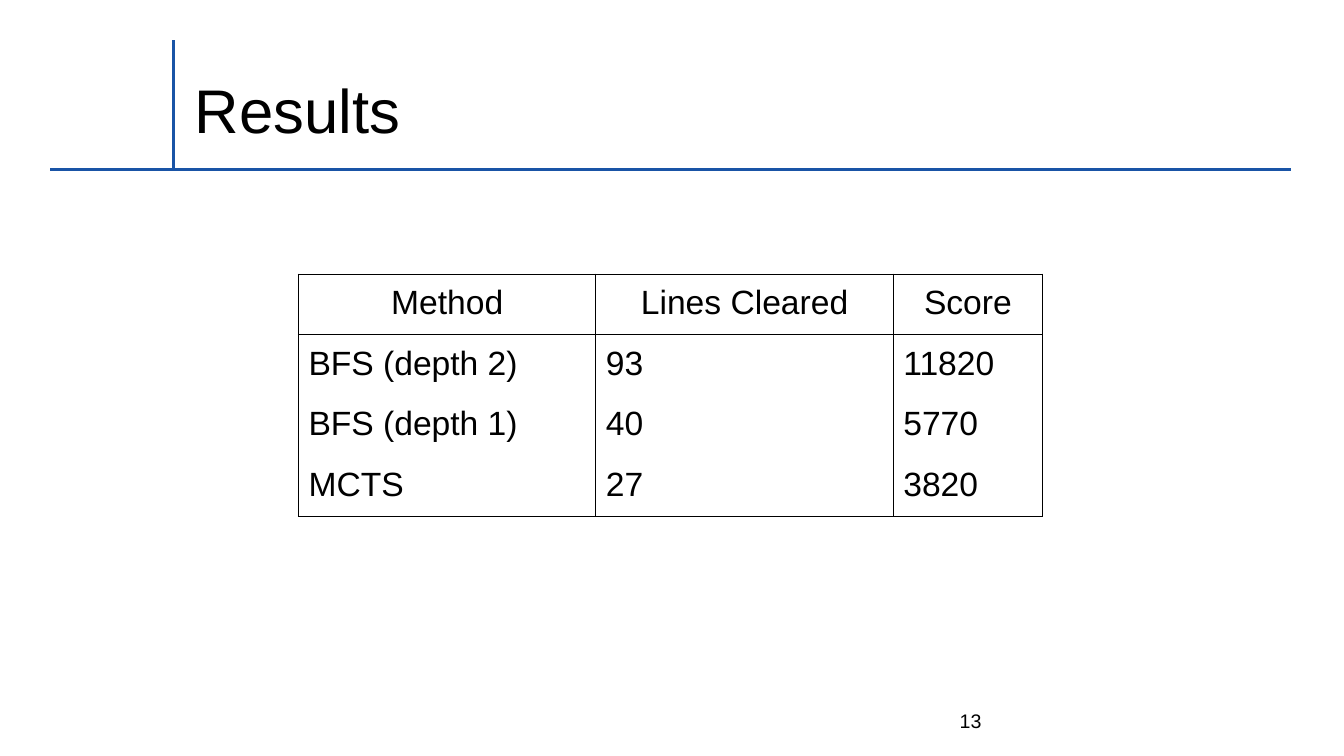
from dataclasses import dataclass

from lxml import etree
from pptx import Presentation
from pptx import util as u
from pptx.dml.color import RGBColor
from pptx.enum import shapes, text
from pptx.oxml import ns


@dataclass
class Theme:
    font: str = "Arial"
    ink: str = "000000"
    rule: str = "1954A6"
    title: int = 44
    body: int = 24
    number: int = 14
    rule_width: float = 2.25
    border_width: float = 0.75


theme = Theme()


def style(paragraph, size):
    for run in paragraph.runs:
        run.font.name = theme.font
        run.font.size = u.Pt(size)
        run.font.bold = False
        run.font.color.rgb = RGBColor.from_string(theme.ink)


def add_border(cell, side, visible):
    line = etree.SubElement(cell._tc.get_or_add_tcPr(), ns.qn(f"a:ln{side}"))
    line.set("w", str(u.Pt(theme.border_width)))
    if visible:
        fill = etree.SubElement(line, ns.qn("a:solidFill"))
        etree.SubElement(fill, ns.qn("a:srgbClr")).set("val", theme.ink)
    else:
        etree.SubElement(line, ns.qn("a:noFill"))


prs = Presentation()
prs.slide_width = u.Inches(13.33)
prs.slide_height = u.Inches(7.5)
slide = prs.slides.add_slide(prs.slide_layouts[5])

heading = slide.shapes.title
heading.left, heading.top = u.Inches(1.83), u.Inches(0.4)
heading.width, heading.height = u.Inches(10.58), u.Inches(1.45)
heading.text_frame.text = "Results"
heading.text_frame.vertical_anchor = text.MSO_ANCHOR.MIDDLE
heading_line = heading.text_frame.paragraphs[0]
heading_line.alignment = text.PP_ALIGN.LEFT
heading_line.line_spacing = 0.9
style(heading_line, theme.title)

rule_y, rule_x = 1.68, 1.72
for ends in [(0.5, rule_y, 12.8, rule_y), (rule_x, rule_y, rule_x, 0.4)]:
    rule = slide.shapes.add_connector(
        shapes.MSO_CONNECTOR.STRAIGHT, *[u.Inches(end) for end in ends]
    )
    rule.line.color.rgb = RGBColor.from_string(theme.rule)
    rule.line.width = u.Pt(theme.rule_width)
    etree.SubElement(rule._element.spPr, ns.qn("a:effectLst"))

page = slide.shapes.add_textbox(u.Inches(9.42), u.Inches(6.95), u.Inches(3), u.Inches(0.4))
page.text_frame.word_wrap = True
page.text_frame.vertical_anchor = text.MSO_ANCHOR.MIDDLE
page.text_frame.text = "13"
style(page.text_frame.paragraphs[0], theme.number)

scores = [
    ("Method", "Lines Cleared", "Score"),
    ("BFS (depth 2)", "93", "11820"),
    ("BFS (depth 1)", "40", "5770"),
    ("MCTS", "27", "3820"),
]
column_widths = [2.95, 2.95, 1.48]
row_height = 0.57
last = len(scores) - 1

results = slide.shapes.add_table(
    len(scores), len(column_widths), u.Inches(2.96), u.Inches(2.72),
    u.Inches(sum(column_widths)), u.Inches(row_height * len(scores)),
).table
results.first_row = False
results.horz_banding = False
for column, width in zip(results.columns, column_widths):
    column.width = u.Inches(width)

for r, entries in enumerate(scores):
    results.rows[r].height = u.Inches(row_height)
    for c, entry in enumerate(entries):
        cell = results.cell(r, c)
        cell.text_frame.text = entry
        cell.margin_left = cell.margin_right = u.Inches(0.1)
        cell.margin_top = cell.margin_bottom = u.Inches(0.1)
        entry_line = cell.text_frame.paragraphs[0]
        entry_line.alignment = text.PP_ALIGN.CENTER if r == 0 else text.PP_ALIGN.LEFT
        style(entry_line, theme.body)
        borders = {"L": True, "R": True, "T": r <= 1, "B": r in (0, last)}
        for side, visible in borders.items():
            add_border(cell, side, visible)
        cell.fill.background()

prs.save("out.pptx")
